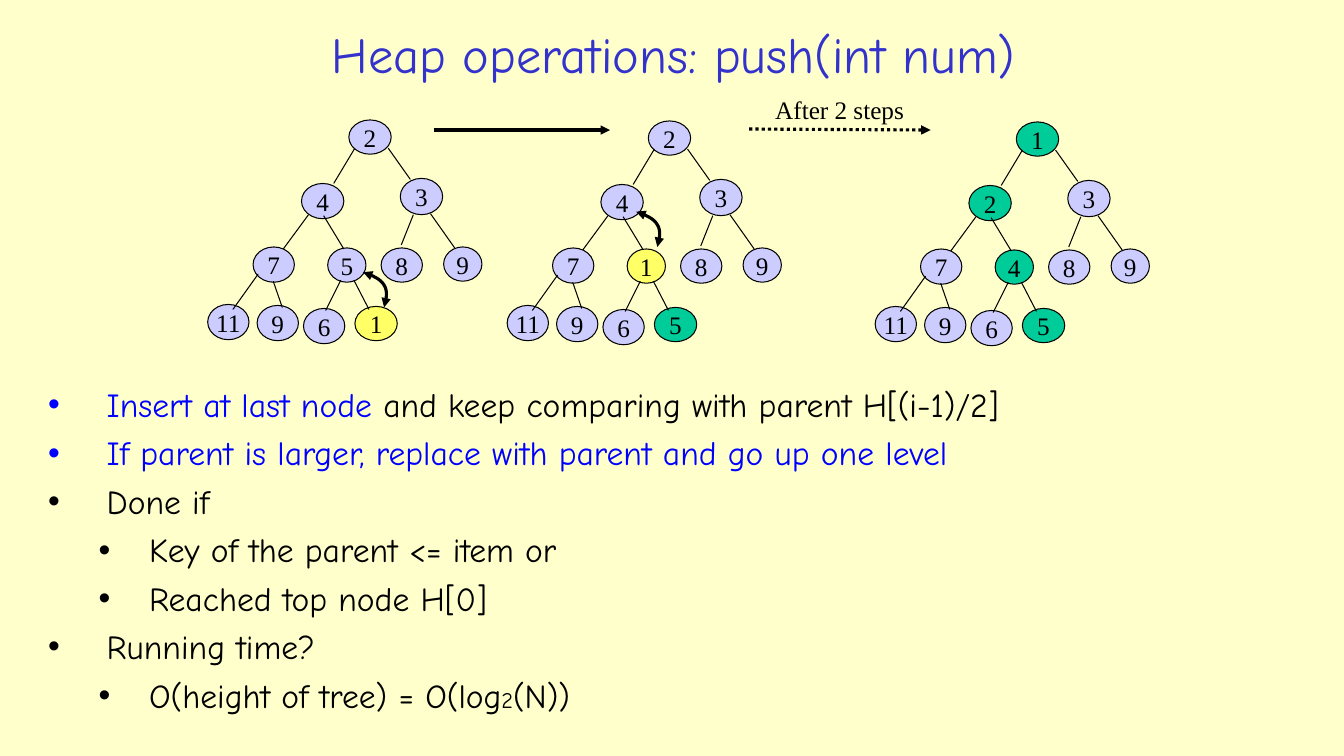
import lxml.etree
import pptx
import pptx.util
import pptx.dml.color
import pptx.enum.dml
import pptx.enum.shapes
import pptx.enum.text
import pptx.oxml.ns

Inches = pptx.util.Inches
Pt = pptx.util.Pt
RGBColor = pptx.dml.color.RGBColor
Align = pptx.enum.text.PP_ALIGN
Anchor = pptx.enum.text.MSO_ANCHOR
qn = pptx.oxml.ns.qn
attach = lxml.etree.SubElement

CREAM = RGBColor(0xFF, 0xFF, 0xCC)
BLACK = RGBColor(0x00, 0x00, 0x00)
LILAC = RGBColor(0xCC, 0xCC, 0xFF)
YELLOW = RGBColor(0xFF, 0xFF, 0x66)
GREEN = RGBColor(0x00, 0xCC, 0x99)
BLUE = RGBColor(0x00, 0x00, 0xFF)
INDIGO = RGBColor(0x33, 0x33, 0xCC)
COMIC = "Comic Neue"
TIMES = "Times New Roman"
STRAIGHT = pptx.enum.shapes.MSO_CONNECTOR.STRAIGHT
OVAL = pptx.enum.shapes.MSO_SHAPE.OVAL


def write(para, text, size, font, color):
    run = para.add_run()
    run.text = text
    run.font.size = Pt(size)
    run.font.name = font
    run.font.color.rgb = color


def stroke(item, width, ends=()):
    """Give a black outline without shadow, with arrowheads at the named ends."""
    item.line.color.rgb = BLACK
    item.line.width = Pt(width)
    props = item._element.spPr
    line = props.find(qn("a:ln"))
    for end in ends:
        attach(line, qn("a:" + end)).set("type", "triangle")
    attach(props, qn("a:effectLst"))


deck = pptx.Presentation()
deck.slide_width = Inches(13.33)
deck.slide_height = Inches(7.5)
slide = deck.slides.add_slide(deck.slide_layouts[6])
slide.background.fill.solid()
slide.background.fill.fore_color.rgb = CREAM
shapes = slide.shapes

# Title
title = shapes.add_textbox(Inches(1.78), Inches(0.15), Inches(9.8), Inches(0.76))
title.text_frame.word_wrap = True
title.text_frame.vertical_anchor = Anchor.MIDDLE
head = title.text_frame.paragraphs[0]
head.alignment = Align.CENTER
write(head, "Heap operations: push(int num)", 36, COMIC, INDIGO)

# Bullets: level and runs of text, size, colour
points = [
    (0, [("Insert at last node ", 24, BLUE),
         ("and keep comparing with parent H[(i-1)/2]", 24, BLACK)]),
    (0, [("If parent is larger, replace with parent and go up one level", 24, BLUE)]),
    (0, [("Done if", 24, BLACK)]),
    (1, [("Key of the parent <= item or", 24, BLACK)]),
    (1, [("Reached top node H[0]", 24, BLACK)]),
    (0, [("Running time?", 24, BLACK)]),
    (1, [("O(height of tree) = O(log", 24, BLACK), ("2", 16, BLACK),
         ("(N))", 24, BLACK)]),
]
indents = [(0.58, -0.58), (1, -0.5)]
body = shapes.add_textbox(Inches(0.38), Inches(3.76), Inches(12.64), Inches(2.8))
body.text_frame.word_wrap = True
for index, (level, runs) in enumerate(points):
    para = body.text_frame.paragraphs[0] if index == 0 else body.text_frame.add_paragraph()
    para.level = level
    para.space_before = Pt(5.8)
    left, hang = indents[level]
    props = para._p.get_or_add_pPr()
    props.set("marL", str(Inches(left)))
    props.set("indent", str(Inches(hang)))
    attach(props, qn("a:buFont")).set("typeface", "Arial")
    attach(props, qn("a:buChar")).set("char", "•")
    for text, size, color in runs:
        write(para, text, size, COMIC, color)

# Heap layout in level order: left, top, width, height
nodes = [
    (3.46, 1.19, 0.42, 0.34),
    (2.99, 1.82, 0.42, 0.35), (3.97, 1.77, 0.42, 0.36),
    (2.51, 2.45, 0.41, 0.35), (3.25, 2.46, 0.38, 0.34),
    (3.78, 2.46, 0.41, 0.34), (4.4, 2.45, 0.38, 0.34),
    (2.06, 3.02, 0.41, 0.35), (2.55, 3.03, 0.41, 0.35),
    (3.01, 3.06, 0.41, 0.35), (3.52, 3.04, 0.42, 0.34),
]
edges = [
    (3.52, 1.47, 3.31, 1.82), (3.85, 1.47, 4.07, 1.78),
    (3.06, 2.13, 2.81, 2.47), (3.21, 2.14, 3.41, 2.47),
    (4.1, 2.13, 3.98, 2.43), (4.27, 2.12, 4.51, 2.46),
    (2.56, 2.72, 2.31, 3.07), (2.71, 2.79, 2.8, 3.05),
    (3.38, 2.78, 3.23, 3.08), (3.51, 2.78, 3.66, 3.07),
]
# Each step: shift right, shift down, keys, fills that differ by node index
steps = [
    (0, 0, [2, 4, 3, 7, 5, 8, 9, 11, 9, 6, 1], {10: YELLOW}),
    (2.97, 0.01, [2, 4, 3, 7, 1, 8, 9, 11, 9, 6, 5], {4: YELLOW, 10: GREEN}),
    (6.62, 0.02, [1, 2, 3, 7, 4, 8, 9, 11, 9, 6, 5],
     {0: GREEN, 1: GREEN, 4: GREEN, 10: GREEN}),
]
for right, down, keys, fills in steps:
    for index, (key, (x, y, w, h)) in enumerate(zip(keys, nodes)):
        node = shapes.add_shape(OVAL, Inches(x + right), Inches(y + down),
                                Inches(w), Inches(h))
        node.fill.solid()
        node.fill.fore_color.rgb = fills.get(index, LILAC)
        stroke(node, 0.75)
        node.text_frame.word_wrap = False
        node.text_frame.vertical_anchor = Anchor.MIDDLE
        para = node.text_frame.paragraphs[0]
        para.alignment = Align.CENTER
        write(para, str(key), 18, TIMES, BLACK)
    for x1, y1, x2, y2 in edges:
        edge = shapes.add_connector(STRAIGHT, Inches(x1 + right), Inches(y1 + down),
                                    Inches(x2 + right), Inches(y2 + down))
        stroke(edge, 0.75)

# Curved swap arrows: two Bezier pieces, relative to the left top corner
bends = [
    [(0.21, 0.35), (0.23, 0.27), (0.25, 0.19), (0.21, 0.13)],
    [(0.21, 0.13), (0.18, 0.07), (0.09, 0.03), (0, 0)],
]
parts = 8
curve = [bends[0][0]]
for bend in bends:
    for step in range(1, parts + 1):
        t = step / parts
        rates = [(1 - t) ** 3, 3 * t * (1 - t) ** 2, 3 * t * t * (1 - t), t ** 3]
        curve.append(tuple(sum(r * p[axis] for r, p in zip(rates, bend))
                           for axis in (0, 1)))
for left, top in [(3.6, 2.7), (6.31, 2.1)]:
    spots = [(Inches(left + x), Inches(top + y)) for x, y in curve]
    pen = shapes.build_freeform(*spots[0])
    pen.add_line_segments(spots[1:], close=False)
    swap = pen.convert_to_shape()
    swap.fill.background()
    stroke(swap, 2.25, ["headEnd", "tailEnd"])

# Arrows between the steps
for x1, y1, x2, y2, dash in [
    (4.3, 1.29, 6.05, 1.29, None),
    (7.43, 1.28, 9.23, 1.29, pptx.enum.dml.MSO_LINE.ROUND_DOT),
]:
    arrow = shapes.add_connector(STRAIGHT, Inches(x1), Inches(y1), Inches(x2), Inches(y2))
    stroke(arrow, 2.25, ["tailEnd"])
    if dash:
        arrow.line.dash_style = dash

label = shapes.add_textbox(Inches(7.59), Inches(0.89), Inches(1.48), Inches(0.4))
label.text_frame.word_wrap = False
write(label.text_frame.paragraphs[0], "After 2 steps", 18, TIMES, BLACK)

deck.save("out.pptx")
